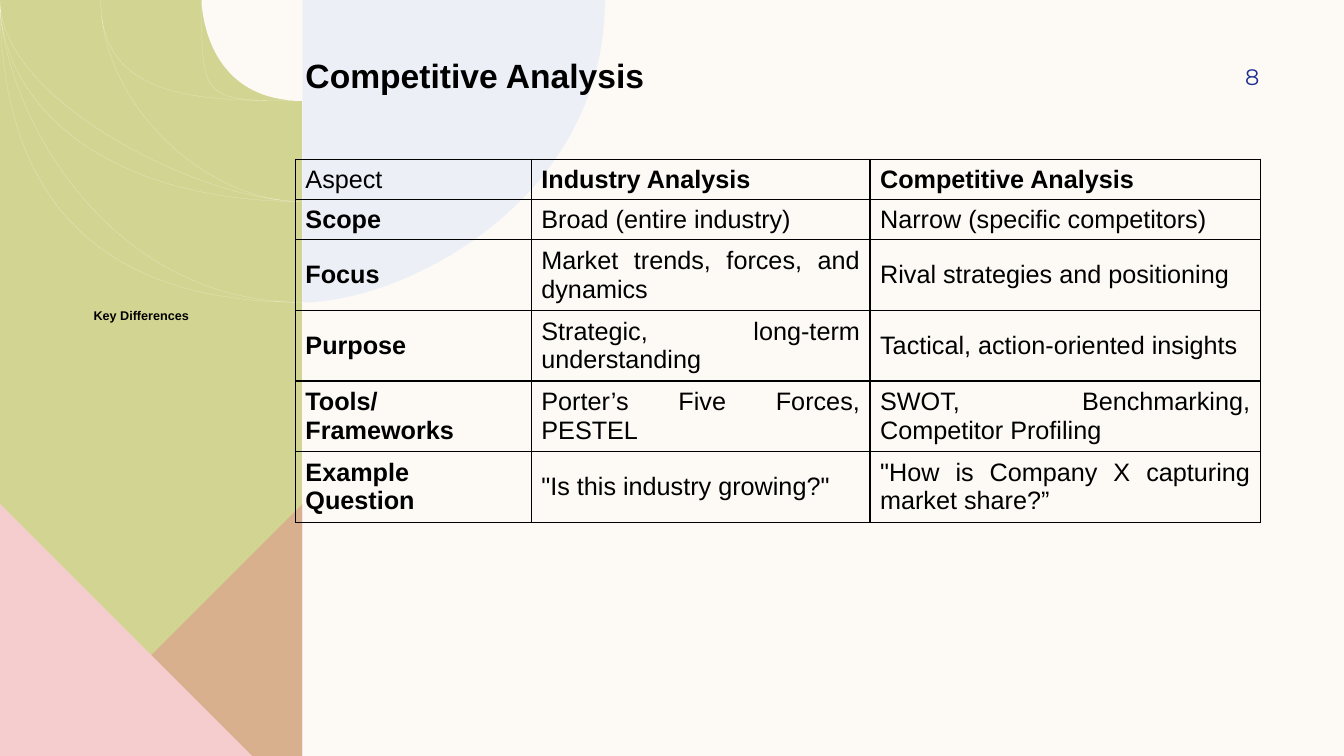
from lxml.etree import SubElement
from pptx import Presentation
from pptx.dml.color import RGBColor
from pptx.enum.text import MSO_ANCHOR, MSO_AUTO_SIZE, PP_ALIGN
from pptx.oxml import parse_xml
from pptx.oxml.ns import nsdecls, qn
from pptx.util import Inches, Pt

CREAM = "FDFAF6"
BLACK = "000000"
PANEL_WIDTH = 2.78
SLIDE_HEIGHT = 7.5
TRIANGLE_TOP = 4.71
QUARTER_CURVE = 0.55

ROWS = [
    ("Aspect", "Industry Analysis", "Competitive Analysis"),
    ("Scope", "Broad (entire industry)", "Narrow (specific competitors)"),
    ("Focus", "Market trends, forces, and dynamics", "Rival strategies and positioning"),
    ("Purpose", "Strategic, long-term understanding", "Tactical, action-oriented insights"),
    ("Tools/Frameworks", "Porter’s Five Forces, PESTEL", "SWOT, Benchmarking, Competitor Profiling"),
    ("Example Question", '"Is this industry growing?"', '"How is Company X capturing market share?”'),
]
COLUMN_WIDTHS = [2.34, 3.36, 3.87]
ROW_HEIGHTS = [0.4, 0.4, 0.7, 0.7, 0.7, 0.7]


def color(hex_string):
    return RGBColor.from_string(hex_string)


def write_text(frame, text, size, font="Arial", hex_string=BLACK, bold=False, align=PP_ALIGN.LEFT):
    frame.text = text
    paragraph = frame.paragraphs[0]
    paragraph.alignment = align
    run_font = paragraph.runs[0].font
    for name, value in {"name": font, "size": Pt(size), "bold": bold}.items():
        setattr(run_font, name, value)
    run_font.color.rgb = color(hex_string)


def format_frame(frame, anchor, wrap=True):
    settings = {"auto_size": MSO_AUTO_SIZE.NONE, "word_wrap": wrap, "vertical_anchor": anchor}
    for name, value in settings.items():
        setattr(frame, name, value)


def place(shape, left, top, width, height):
    for name, value in {"left": left, "top": top, "width": width, "height": height}.items():
        setattr(shape, name, Inches(value))


def add_label(slide, box, text, wrap=True, **text_format):
    shape = slide.shapes.add_textbox(*map(Inches, box))
    format_frame(shape.text_frame, MSO_ANCHOR.MIDDLE, wrap)
    write_text(shape.text_frame, text, **text_format)


def quarter_arc(radius, direction):
    units = [(1, 0), (1, QUARTER_CURVE), (QUARTER_CURVE, 1), (0, 1)]
    return [(PANEL_WIDTH + direction * radius * x, radius * y) for x, y in units]


def bend_arcs(shape):
    for start in shape.element.xpath(".//a:path/a:moveTo"):
        lines = []
        following = start.getnext()
        while following is not None and following.tag == qn("a:lnTo"):
            lines.append(following)
            following = following.getnext()
        for first in range(0, len(lines), 4):
            group = lines[first:first + 3]
            curve = parse_xml(f'<a:cubicBezTo {nsdecls("a")}/>')
            group[0].addprevious(curve)
            for line in group:
                curve.append(line[0])
                line.getparent().remove(line)


def add_outline(slide, contours, hex_string, opacity=100, curved=False):
    builder = slide.shapes.build_freeform(*contours[0][0], scale=Inches(1))
    for index, contour in enumerate(contours):
        if index:
            builder.move_to(*contour[0])
        builder.add_line_segments(contour[1:], close=True)
    shape = builder.convert_to_shape()
    if curved:
        bend_arcs(shape)
    shape.shadow.inherit = False
    shape.fill.solid()
    shape.fill.fore_color.rgb = color(hex_string)
    shape.line.fill.background()
    if opacity < 100:
        fill_color = shape.element.xpath("./p:spPr/a:solidFill/a:srgbClr")[0]
        SubElement(fill_color, qn("a:alpha"), val=str(opacity * 1000))


def add_decoration(slide):
    top_left, top_right = (0, 0), (PANEL_WIDTH, 0)
    bottom_left, bottom_right = (0, SLIDE_HEIGHT), (PANEL_WIDTH, SLIDE_HEIGHT)
    add_outline(slide, [[top_left, top_right, bottom_right, bottom_left]], "D2D592")

    ring_count, largest, smallest, thickness = 17, 2.78, 0.36, 0.03
    gap = (largest - smallest) / (ring_count - 1)
    radii = [largest - gap * index for index in range(ring_count)]
    rings = [quarter_arc(r, -1) + quarter_arc(r - thickness, -1)[::-1] for r in radii]
    add_outline(slide, rings, CREAM, curved=True)

    add_outline(slide, [[(PANEL_WIDTH, TRIANGLE_TOP), bottom_right, bottom_left]], "DE8C8C", 50)
    add_outline(slide, [[(0, TRIANGLE_TOP), bottom_right, bottom_left]], "F5CDCE")
    add_outline(slide, [quarter_arc(2.8, 1) + [top_right]], "DDE7F6", 50, curved=True)


def set_borders(cell):
    properties = cell._tc.get_or_add_tcPr()
    for index, side in enumerate(("lnL", "lnR", "lnT", "lnB")):
        properties.insert(index, parse_xml(
            f'<a:{side} {nsdecls("a")} w="12700"><a:solidFill>'
            f'<a:srgbClr val="{BLACK}"/></a:solidFill></a:{side}>'))


def add_comparison(slide):
    frame = slide.shapes.add_table(
        len(ROWS), len(COLUMN_WIDTHS), Inches(2.93), Inches(1.58),
        Inches(sum(COLUMN_WIDTHS)), Inches(sum(ROW_HEIGHTS)))
    table = frame.table
    table.first_row = table.horz_banding = False
    for column, width in zip(table.columns, COLUMN_WIDTHS):
        column.width = Inches(width)
    for row_index, (row, height) in enumerate(zip(table.rows, ROW_HEIGHTS)):
        row.height = Inches(height)
        for column_index, cell in enumerate(row.cells):
            body = row_index > 0 and column_index > 0
            corner = row_index == column_index == 0
            cell.fill.background()
            cell.vertical_anchor = MSO_ANCHOR.MIDDLE
            write_text(cell.text_frame, ROWS[row_index][column_index], 18,
                       bold=not (body or corner),
                       align=PP_ALIGN.JUSTIFY if body else PP_ALIGN.LEFT)
            set_borders(cell)


def add_title(slide, text):
    title = slide.shapes.title
    title.element.getparent().append(title.element)
    place(title, 2.93, 0.49, 9.16, 0.5)
    format_frame(title.text_frame, MSO_ANCHOR.TOP)
    write_text(title.text_frame, text, 24, bold=True)


def main():
    presentation = Presentation()
    presentation.slide_width = Inches(13.33)
    presentation.slide_height = Inches(SLIDE_HEIGHT)
    slide = presentation.slides.add_slide(presentation.slide_layouts[5])
    slide.background.fill.solid()
    slide.background.fill.fore_color.rgb = color(CREAM)

    add_decoration(slide)
    add_label(slide, (11.33, 0.5, 1.26, 0.52), "8", size=16, font="Montserrat",
              hex_string="1F2C8F", align=PP_ALIGN.RIGHT)
    add_title(slide, "Competitive Analysis")
    add_comparison(slide)
    add_label(slide, (0.83, 2.99, 1.2, 0.28), "Key Differences", wrap=False, size=9, bold=True)
    presentation.save("out.pptx")


if __name__ == "__main__":
    main()
